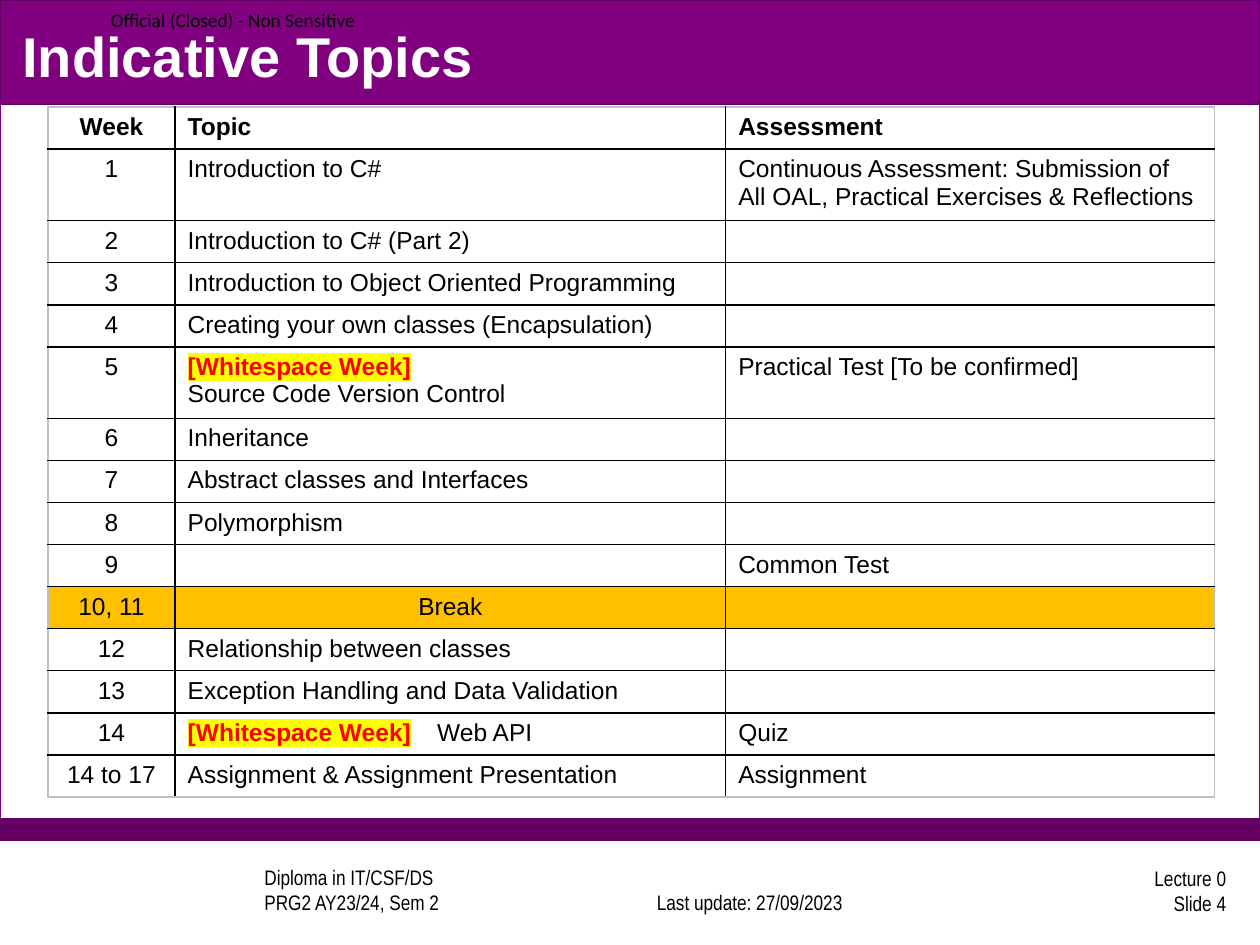
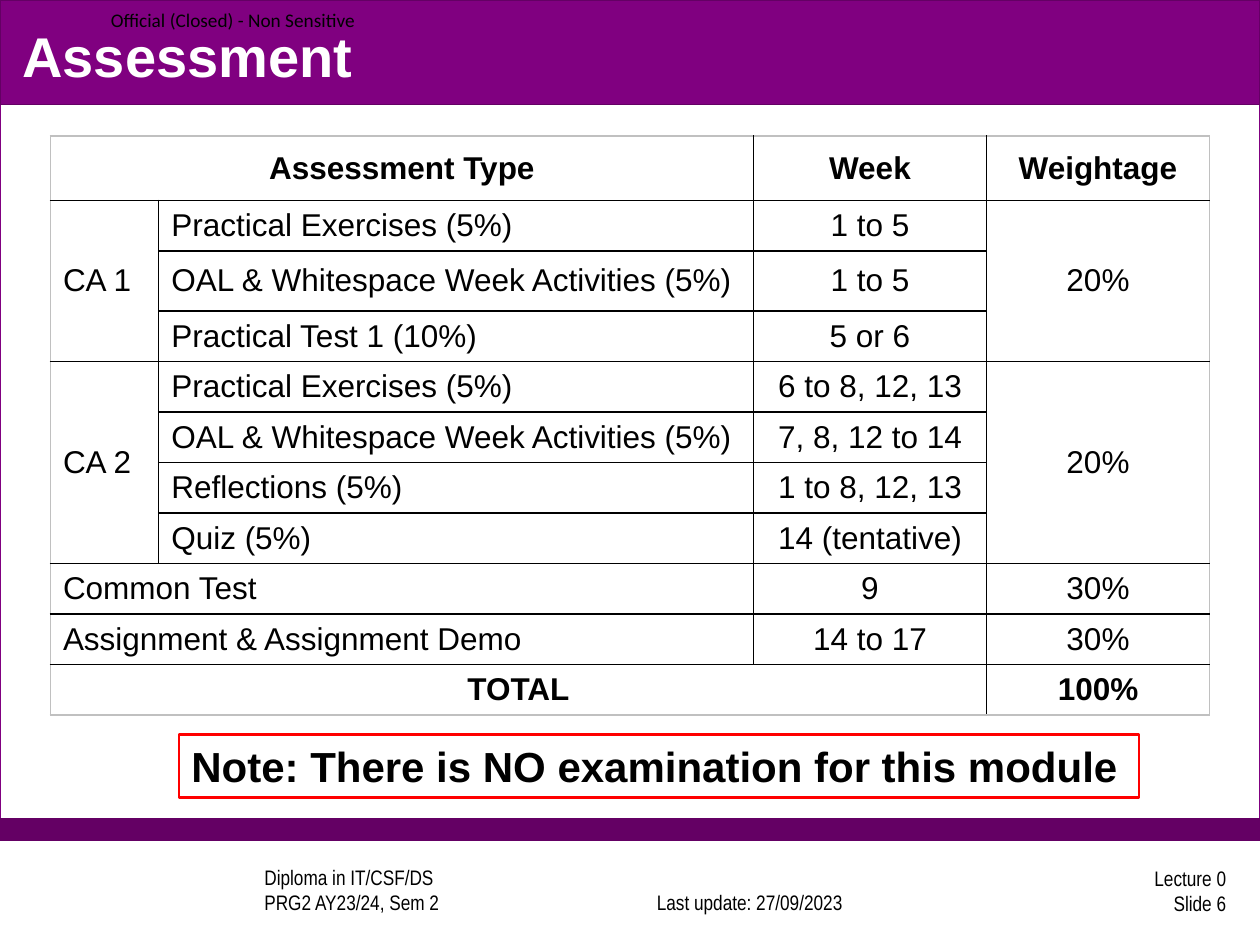
from lxml import etree
from pptx import Presentation
from pptx.dml.color import RGBColor
from pptx.enum import shapes, text
from pptx.oxml import ns
from pptx.util import Inches, Pt

PURPLE, DARK, WHITE, BLACK = "800080", "640064", "FFFFFF", "000000"
RED, YELLOW, AMBER, GREY = "FF0000", "FFFF00", "FFC000", "C0C0C0"
LEFT, MID, RIGHT = text.PP_ALIGN.LEFT, text.PP_ALIGN.CENTER, text.PP_ALIGN.RIGHT
TOP, CENTRE, BOTTOM = (text.MSO_ANCHOR.TOP, text.MSO_ANCHOR.MIDDLE,
                       text.MSO_ANCHOR.BOTTOM)
TITLE = {"size": Pt(32), "name": "Arial", "bold": True}
FOOT = {"size": Pt(12), "name": "Arial Narrow"}
LABEL = {"size": Pt(11), "name": "Calibri"}
NOTE = {"size": Pt(24), "name": "Arial", "bold": True}
MARK = "[Whitespace Week]"

TOPICS = [
    ("Week", "Topic", "Assessment"),
    ("1", "Introduction to C#",
     "Continuous Assessment: Submission of All OAL, Practical Exercises & Reflections"),
    ("2", "Introduction to C# (Part 2)", ""),
    ("3", "Introduction to Object Oriented Programming", ""),
    ("4", "Creating your own classes (Encapsulation)", ""),
    ("5", MARK + "\nSource Code Version Control", "Practical Test [To be confirmed]"),
    ("6", "Inheritance", ""),
    ("7", "Abstract classes and Interfaces", ""),
    ("8", "Polymorphism", ""),
    ("9", "", "Common Test"),
    ("10, 11", "Break", ""),
    ("12", "Relationship between classes", ""),
    ("13", "Exception Handling and Data Validation", ""),
    ("14", MARK + "\tWeb API", "Quiz"),
    ("14 to 17", "Assignment & Assignment Presentation", "Assignment"),
]
MARKS = [
    ("Assessment Type", "", "Week", "Weightage"),
    ("CA 1", "Practical Exercises (5%)", "1 to 5", "20%"),
    ("", "OAL & Whitespace Week Activities (5%)", "1 to 5", ""),
    ("", "Practical Test 1 (10%)", "5 or 6", ""),
    ("CA 2", "Practical Exercises (5%)", "6 to 8, 12, 13", "20%"),
    ("", "OAL & Whitespace Week Activities (5%)", "7, 8, 12 to 14", ""),
    ("", "Reflections (5%)", "1 to 8, 12, 13", ""),
    ("", "Quiz (5%)", "14 (tentative)", ""),
    ("Common Test", "", "9", "30%"),
    ("Assignment & Assignment Demo", "", "14 to 17", "30%"),
    ("TOTAL", "", "", "100%"),
]
# First and last cell (row, column) of each merged area
SPANS = [((0, 0), (0, 1)), ((1, 0), (3, 0)), ((1, 3), (3, 3)), ((4, 0), (7, 0)),
         ((4, 3), (7, 3)), ((8, 0), (8, 1)), ((9, 0), (9, 1)), ((10, 0), (10, 2))]


def rgb(code):
    return RGBColor.from_string(code)


def inch(box):
    return [Inches(n) for n in box]


def add_sub(node, tag, **attrs):
    return etree.SubElement(node, ns.qn(tag), attrs)


def style(font, form, color=BLACK):
    for key, value in form.items():
        setattr(font, key, value)
    font.color.rgb = rgb(color)


def write(frame, words, form, color=BLACK, align=LEFT, anchor=CENTRE):
    frame.word_wrap = True
    frame.vertical_anchor = anchor
    para = frame.paragraphs[0]
    para.text = words
    para.alignment = align
    for run in para.runs:
        style(run.font, form, color)


def add_text(slide, box, words, form, inset=0.1, **look):
    frame = slide.shapes.add_textbox(*inch(box)).text_frame
    for side in ("left", "right"):
        setattr(frame, "margin_" + side, Inches(inset))
    write(frame, words, form, **look)


def add_rect(slide, box, fill, line, width=0.75):
    rect = slide.shapes.add_shape(shapes.MSO_SHAPE.RECTANGLE, *inch(box))
    rect.shadow.inherit = False
    rect.fill.solid()
    rect.fill.fore_color.rgb = rgb(fill)
    rect.line.color.rgb = rgb(line)
    rect.line.width = Pt(width)
    return rect


def add_frame(deck, title, number):
    """Add a slide with its bands, title and footers."""
    slide = deck.slides.add_slide(deck.slide_layouts[6])
    add_rect(slide, (0, 0, 10, 6.67), WHITE, PURPLE)
    add_rect(slide, (0, 6.5, 10, 0.17), DARK, DARK)
    add_rect(slide, (0, 0, 10, 0.83), PURPLE, DARK)
    add_text(slide, (2, 6.89, 2.67, 0.42), "Diploma in IT/CSF/DS\vPRG2 AY23/24, Sem 2",
             FOOT, anchor=BOTTOM)
    add_text(slide, (4.91, 6.89, 2.08, 0.42), "Last update: 27/09/2023",
             FOOT, align=MID, anchor=BOTTOM)
    add_text(slide, (7.75, 6.86, 2.08, 0.42), f"Lecture 0\vSlide {number}",
             FOOT, align=RIGHT)
    add_text(slide, (0.88, 0, 2.13, 0.31), "Official (Closed) - Non Sensitive",
             LABEL, inset=0)
    add_text(slide, (0.08, 0.13, 9.83, 0.62), title, TITLE, color=WHITE)
    return slide


def add_edges(cell, colors):
    props = cell._tc.get_or_add_tcPr()
    for side, color in zip("LRTB", colors):
        line = add_sub(props, "a:ln" + side, w=str(Pt(1)))
        add_sub(add_sub(line, "a:solidFill"), "a:srgbClr", val=color)


def add_mark(para, form):
    run = para.add_run()
    run.text = MARK
    style(run.font, {**form, "bold": True}, RED)
    light = etree.Element(ns.qn("a:highlight"))
    add_sub(light, "a:srgbClr", val=YELLOW)
    run._r.rPr.find(ns.qn("a:solidFill")).addnext(light)


def fill_cell(cell, words, form, align, anchor):
    cell.vertical_anchor = anchor
    frame = cell.text_frame
    for i, line in enumerate(words.split("\n")):
        para = frame.add_paragraph() if i else frame.paragraphs[0]
        para.alignment = align
        if line.startswith(MARK):
            add_mark(para, form)
            line = line[len(MARK):]
        if line.startswith("\t"):
            tabs = add_sub(para._p.get_or_add_pPr(), "a:tabLst")
            add_sub(tabs, "a:tab", pos=str(Inches(1.98)), algn="l")
        if line:
            run = para.add_run()
            run.text = line
            style(run.font, form)
        else:
            add_sub(para._p, "a:endParaRPr", sz=str(int(form["size"].pt * 100)))


def add_grid(slide, spot, data, widths, heights, size, mids, bolds,
             anchor=TOP, fills=None, spans=()):
    """Add a table; mids tells if a cell is centred, bolds lists bold rows."""
    rows, cols = len(data), len(widths)
    box = (*spot, sum(widths), sum(heights))
    table = slide.shapes.add_table(rows, cols, *inch(box)).table
    table.first_row = table.horz_banding = False
    for col, width in zip(table.columns, widths):
        col.width = Inches(width)
    for row, height in zip(table.rows, heights):
        row.height = Inches(height)
    for r, line in enumerate(data):
        form = {"size": Pt(size), "name": "Arial", "bold": r in bolds}
        for c, words in enumerate(line):
            cell = table.cell(r, c)
            outer = (c == 0, c == cols - 1, r == 0, r == rows - 1)
            add_edges(cell, [GREY if edge else BLACK for edge in outer])
            if fills and r in fills:
                cell.fill.solid()
                cell.fill.fore_color.rgb = rgb(fills[r])
            else:
                cell.fill.background()
            fill_cell(cell, words, form, MID if mids(r, c) else LEFT, anchor)
    for first, last in spans:
        table.cell(*first).merge(table.cell(*last))


def add_topics(deck):
    slide = add_frame(deck, "Indicative Topics", 4)
    tall = {1: 0.54, 2: 0.33, 3: 0.33, 5: 0.54}
    heights = [tall.get(r, 0.32) for r in range(len(TOPICS))]
    add_grid(slide, (0.38, 0.85), TOPICS, (1.01, 4.37, 3.88), heights, 14,
             lambda r, c: c == 0 or (r, c) == (10, 1), {0}, fills={10: AMBER})


def add_marks(deck):
    slide = add_frame(deck, "Assessment", 6)
    tall = {0: 0.51, 2: 0.48}
    heights = [tall.get(r, 0.38) for r in range(len(MARKS))]
    add_grid(slide, (0.4, 1.08), MARKS, (0.86, 4.72, 1.85, 1.77), heights, 18,
             lambda r, c: c > 1 or r in (0, 10), {0, 10}, CENTRE, spans=SPANS)
    note = add_rect(slide, (1.42, 5.83, 7.62, 0.5), WHITE, RED, 1.5)
    write(note.text_frame, "Note: There is NO examination for this module", NOTE)


def main():
    deck = Presentation()
    deck.slide_width, deck.slide_height = inch((10, 7.5))
    add_topics(deck)
    add_marks(deck)
    deck.save("out.pptx")


if __name__ == "__main__":
    main()
